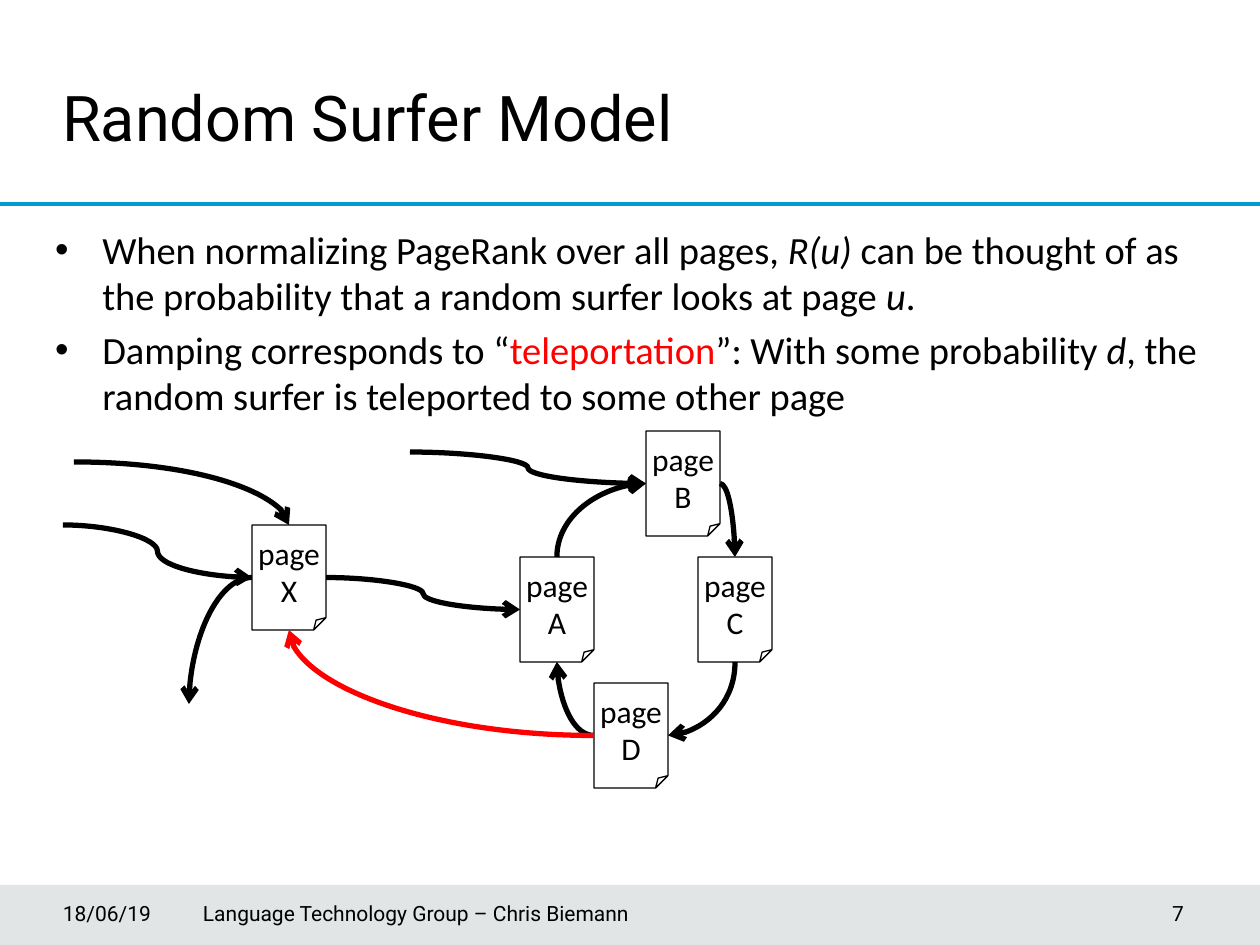
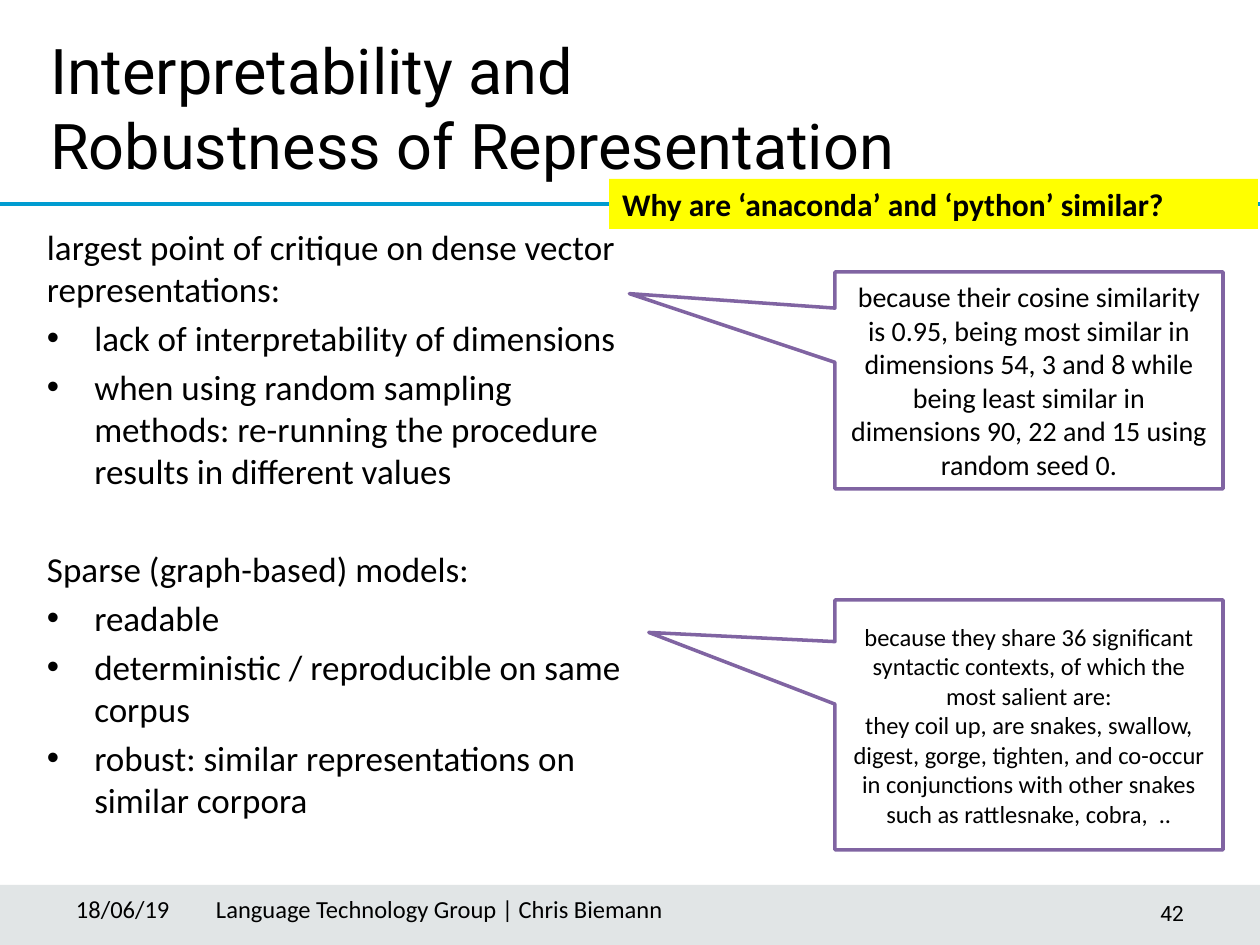
import pptx
import pptx.util
import pptx.dml.color
import pptx.enum.shapes
import pptx.enum.text
import pptx.oxml.ns
import lxml.etree

SCALE = 914400 / 126
WIDE, HIGH = 1260, 945
BLACK, WHITE, RED = "000000", "FFFFFF", "FF0000"
BLUE, SLATE, GOLD, PLUM = "009CD1", "3B515B", "FFFF00", "8064A2"
HEAD, TEXT = "Roboto", "Calibri"
TOP, LEFT, BASE, RIGHT = range(4)  # sides of a page, as connection sites
SHAPE = pptx.enum.shapes.MSO_SHAPE
CURVE = pptx.enum.shapes.MSO_CONNECTOR
ALIGN = pptx.enum.text.PP_ALIGN
ANCHOR = pptx.enum.text.MSO_ANCHOR


def px(count):
    return pptx.util.Emu(round(count * SCALE))


def shade(code):
    return pptx.dml.color.RGBColor.from_string(code)


def add_tag(parent, name, **values):
    return lxml.etree.SubElement(parent, pptx.oxml.ns.qn(name), **values)


class Deck:
    """Holds the shared style and the slide being built."""

    def __init__(self):
        self.show = pptx.Presentation()
        self.show.slide_width = px(WIDE)
        self.show.slide_height = px(HIGH)
        self.slide = None

    def start(self):
        """Add a slide with the footer band and the rule below the title."""
        self.slide = self.show.slides.add_slide(self.show.slide_layouts[1])
        band = self.shape(SHAPE.RECTANGLE, (0, 885, WIDE, 60), SLATE)
        tone = band._element.spPr.find(".//" + pptx.oxml.ns.qn("a:srgbClr"))
        add_tag(tone, "a:alpha", val="15000")
        self.line(CURVE.STRAIGHT, (0, 204), (WIDE, 204), BLUE, 2)

    def place(self, item, box):
        item.left, item.top, item.width, item.height = map(px, box)

    def frame(self, item, anchor, pads=(13, 6, 13, 6)):
        frame = item.text_frame
        frame.word_wrap = True
        frame.auto_size = pptx.enum.text.MSO_AUTO_SIZE.NONE
        frame.vertical_anchor = anchor
        (frame.margin_left, frame.margin_top,
         frame.margin_right, frame.margin_bottom) = map(px, pads)
        return frame

    def fill(self, para, runs, size, face=TEXT, align=ALIGN.LEFT, bold=False):
        """Fill a paragraph; a run is a string or (string, style)."""
        para.alignment = align
        for run in [runs] if isinstance(runs, str) else runs:
            words, style = (run, "") if isinstance(run, str) else run
            for row, part in enumerate(words.split("\n")):
                if row:
                    para.add_line_break()
                piece = para.add_run()
                piece.text = part
                font = piece.font
                font.name, font.size = face, pptx.util.Pt(size)
                font.bold, font.italic = bold, style == "italic"
                font.color.rgb = shade(RED if style == "red" else BLACK)

    def title(self, words, box):
        item = self.slide.shapes.title
        self.place(item, box)
        frame = self.frame(item, ANCHOR.TOP, (13, 11, 13, 6))
        self.fill(frame.paragraphs[0], words, 36, HEAD)

    def body(self, rows, box, size):
        """Fill the list; a row is (kind, runs), kind bullet, plain or part."""
        item = self.slide.placeholders[1]
        self.place(item, box)
        frame = self.frame(item, ANCHOR.TOP)
        for index, (kind, runs) in enumerate(rows):
            para = frame.add_paragraph() if index else frame.paragraphs[0]
            props = para._p.get_or_add_pPr()
            if kind == "bullet":
                props.set("marL", "342900")
                props.set("indent", "-342900")
                add_tag(props, "a:buChar", char="•")
            else:
                props.set("marL", "0")
                props.set("indent", "0")
                add_tag(props, "a:buNone")
            gap = 32 if kind == "part" else size / 5
            para.space_before = pptx.util.Pt(gap if index else 0)
            self.fill(para, runs, size)

    def shape(self, kind, box, fill=None, line=None, weight=1):
        item = self.slide.shapes.add_shape(kind, *map(px, box))
        item.shadow.inherit = False
        if fill:
            item.fill.solid()
            item.fill.fore_color.rgb = shade(fill)
        else:
            item.fill.background()
        if line:
            item.line.color.rgb = shade(line)
            item.line.width = pptx.util.Pt(weight)
        else:
            item.line.fill.background()
        return item

    def label(self, words, box, size, face=TEXT, align=ALIGN.LEFT,
              anchor=ANCHOR.MIDDLE, pads=(13, 6, 13, 6)):
        item = self.slide.shapes.add_textbox(*map(px, box))
        frame = self.frame(item, anchor, pads)
        self.fill(frame.paragraphs[0], words, size, face, align)

    def foot(self, group, number, size, face, anchor, inset):
        self.label("18/06/19", (63, 888, 125, 50), size, face,
                   anchor=anchor, pads=(inset, 6, 13, 6))
        self.label(group, (198, 888, 624, 50), size, face,
                   anchor=anchor, pads=(inset + 5, 6, 13, 6))
        self.label(number, (1005, 888, 192, 50), 12, HEAD, ALIGN.RIGHT)

    def page(self, name, left, top):
        item = self.shape(SHAPE.FOLDED_CORNER, (left, top, 74, 105),
                          line=BLACK, weight=0.75)
        frame = self.frame(item, ANCHOR.MIDDLE, (0, 6, 0, 6))
        self.fill(frame.paragraphs[0], "page\n" + name, 18,
                  align=ALIGN.CENTER)
        return item

    def line(self, kind, start, end, color, weight):
        """Draw a connector; an end is a point or (page, side)."""
        link = self.slide.shapes.add_connector(kind, 0, 0, 0, 0)
        if isinstance(start[0], int):
            link.begin_x, link.begin_y = map(px, start)
        else:
            link.begin_connect(*start)
        if isinstance(end[0], int):
            link.end_x, link.end_y = map(px, end)
        else:
            link.end_connect(*end)
        link.line.color.rgb = shade(color)
        link.line.width = pptx.util.Pt(weight)
        add_tag(link._element.spPr, "a:effectLst")
        return link

    def curve(self, start, end, bend=False, back=False, color=BLACK):
        """Draw a curved arrow, level at its start; back puts the tip there."""
        link = self.line(CURVE.CURVE, start, end, color, 3)
        props = link._element.spPr
        if bend:
            geom = props.find(pptx.oxml.ns.qn("a:prstGeom"))
            geom.set("prst", "curvedConnector2")
        stroke = props.find(pptx.oxml.ns.qn("a:ln"))
        add_tag(stroke, "a:headEnd" if back else "a:tailEnd", type="arrow")

    def bubble(self, words, box, tip, size):
        item = self.shape(SHAPE.RECTANGULAR_CALLOUT, box, WHITE, PLUM, 2)
        item.adjustments[0], item.adjustments[1] = tip
        frame = self.frame(item, ANCHOR.MIDDLE)
        self.fill(frame.paragraphs[0], words, size, align=ALIGN.CENTER)

    def banner(self, words, box):
        item = self.shape(SHAPE.RECTANGLE, box, GOLD)
        frame = self.frame(item, ANCHOR.TOP)
        self.fill(frame.paragraphs[0], words, 18, bold=True)


def surfer(deck):
    deck.start()
    deck.title("Random Surfer Model", (49, 67, 948, 116))
    deck.body([
        ("bullet", ["When normalizing PageRank over all pages, ",
                    ("R(u) ", "italic"),
                    "can be thought of as the probability that a random "
                    "surfer looks at page ", ("u", "italic"), "."]),
        ("bullet", ["Damping corresponds to “", ("teleportation", "red"),
                    "”: With some probability ", ("d", "italic"),
                    ", the random surfer is teleported to some other page"]),
    ], (42, 220, 1191, 660), 22)

    # Pages of the link graph
    spots = {"A": (520, 557), "C": (698, 557), "B": (646, 431),
             "D": (594, 683), "X": (252, 525)}
    page = {name: deck.page(name, *spot) for name, spot in spots.items()}

    # Links in the ring of pages
    deck.curve((page["B"], LEFT), (page["A"], TOP), bend=True, back=True)
    deck.curve((page["B"], RIGHT), (page["C"], TOP), bend=True)
    deck.curve((page["D"], RIGHT), (page["C"], BASE), bend=True, back=True)
    deck.curve((page["D"], LEFT), (page["A"], BASE), bend=True)

    # Links from and to the outside
    deck.curve((page["X"], RIGHT), (page["A"], LEFT))
    deck.curve((410, 452), (page["B"], LEFT))
    deck.curve((74, 462), (page["X"], TOP), bend=True)
    deck.curve((63, 525), (page["X"], LEFT))
    deck.curve((page["X"], LEFT), (189, 704), bend=True)

    # Teleport
    deck.curve((page["D"], LEFT), (page["X"], BASE), bend=True, color=RED)
    deck.foot("Language Technology Group – Chris Biemann", "7",
              12, HEAD, ANCHOR.MIDDLE, 0)


def robust(deck):
    deck.start()
    deck.title("Interpretability and\nRobustness of Representation",
               (37, 20, 1158, 116))
    deck.body([
        ("plain", "largest point of critique on dense vector "
                  "representations:"),
        ("bullet", "lack of interpretability of dimensions"),
        ("bullet", "when using random sampling methods: re-running the "
                   "procedure results in different values"),
        ("part", "Sparse (graph-based) models:"),
        ("bullet", "readable"),
        ("bullet", "deterministic / reproducible on same corpus"),
        ("bullet", "robust: similar representations on similar corpora"),
    ], (34, 219, 616, 660), 20)

    # Question and the two answers
    deck.banner("Why are ‘anaconda’ and ‘python’ similar?",
                (609, 179, 649, 50))
    deck.bubble("because their cosine similarity is 0.95, being most similar "
                "in dimensions 54, 3 and 8 while being least similar in "
                "dimensions 90, 22 and 15 using random seed 0.",
                (835, 272, 388, 217), (-1.03, -0.4), 16)
    deck.bubble("because they share 36 significant syntactic contexts, of "
                "which the most salient are:\nthey coil up, are snakes, "
                "swallow, digest, gorge, tighten, and co-occur in "
                "conjunctions with other snakes such as rattlesnake, "
                "cobra,  ..",
                (835, 600, 388, 250), (-0.98, -0.37), 14)
    deck.foot("Language Technology Group | Chris Biemann", "42",
              14, TEXT, ANCHOR.TOP, 13)


def main():
    deck = Deck()
    surfer(deck)
    robust(deck)
    deck.show.save("out.pptx")


if __name__ == "__main__":
    main()
